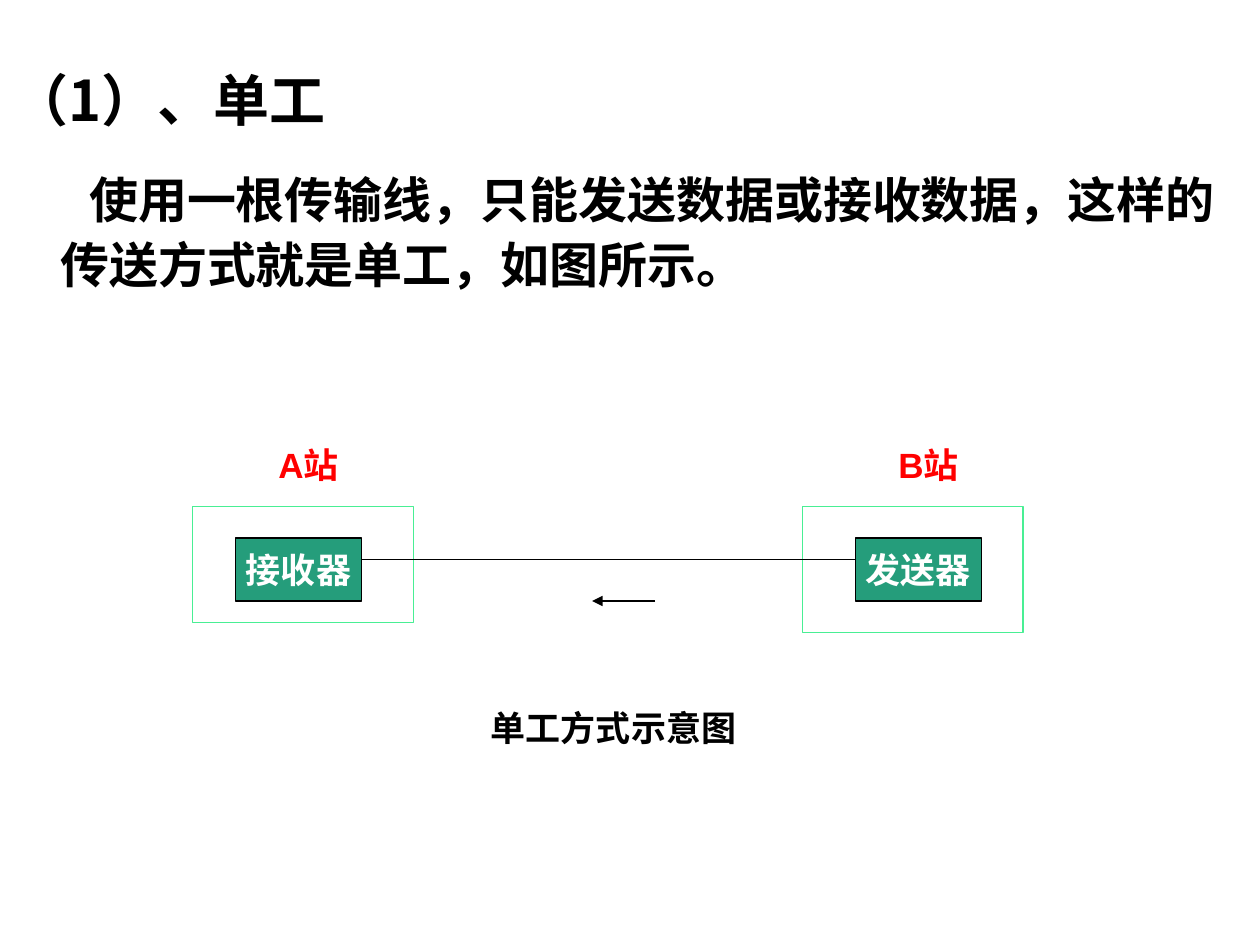
from lxml import etree
from pptx import Presentation
from pptx.dml.color import RGBColor
from pptx.enum.shapes import MSO_CONNECTOR, MSO_SHAPE
from pptx.enum.text import MSO_ANCHOR, PP_ALIGN
from pptx.oxml.ns import qn
from pptx.util import Inches, Pt

BLACK = RGBColor(0x00, 0x00, 0x00)
WHITE = RGBColor(0xFF, 0xFF, 0xFF)
RED = RGBColor(0xFF, 0x00, 0x00)
TEAL = RGBColor(0x25, 0x9D, 0x7B)
MINT = RGBColor(0x49, 0xEF, 0x94)
RECTANGLE = MSO_SHAPE.RECTANGLE
STRAIGHT = MSO_CONNECTOR.STRAIGHT
CENTER = PP_ALIGN.CENTER
MIDDLE = MSO_ANCHOR.MIDDLE
CJK_FONT = "Noto Sans CJK SC"
LATIN_FONT = "Arial"

HEADING = "（1）、单工"
BODY = "使用一根传输线，只能发送数据或接收数据，这样的传送方式就是单工，如图所示。"
CAPTION = "单工方式示意图"
INTRO = [
    (HEADING, 32, 0, -0.38),
    (BODY, 28, 17.5, 0.23),
]
STATIONS = [
    {"label": "A站", "device": "接收器", "label_left": 1.95,
     "device_left": 1.87, "frame_left": 1.53, "frame_height": 0.92},
    {"label": "B站", "device": "发送器", "label_left": 6.87,
     "device_left": 6.79, "frame_left": 6.37, "frame_height": 1},
]
DEVICE_WIDTH, DEVICE_HEIGHT, DEVICE_TOP = 1, 0.5, 4.27
WIRE_Y, ARROW_Y = 4.44, 4.77

deck = Presentation()
deck.slide_width, deck.slide_height = Inches(10), Inches(7.5)
page = deck.slides.add_slide(deck.slide_layouts[6])


def style_paragraph(para, size, color, font):
    for span in para.runs:
        span.font.size = Pt(size)
        span.font.bold = True
        span.font.name = font
        span.font.color.rgb = color
        east_asian = etree.SubElement(span.font._element, qn("a:ea"))
        east_asian.set("typeface", CJK_FONT)


def set_label(shape, text, color):
    frame = shape.text_frame
    frame.text = text
    frame.word_wrap = False
    frame.vertical_anchor = MIDDLE
    para = frame.paragraphs[0]
    para.alignment = CENTER
    style_paragraph(para, 20, color, LATIN_FONT)


def add_label(text, left, top, width, color):
    box = page.shapes.add_textbox(
        Inches(left), Inches(top), Inches(width), Inches(0.5))
    set_label(box, text, color)


def add_rectangle(left, top, width, height, line_color, fill_color=None):
    shape = page.shapes.add_shape(
        RECTANGLE, Inches(left), Inches(top), Inches(width), Inches(height))
    shape.shadow.inherit = False
    if fill_color is None:
        shape.fill.background()
    else:
        shape.fill.solid()
        shape.fill.fore_color.rgb = fill_color
    shape.line.color.rgb = line_color
    shape.line.width = Pt(0.75)
    return shape


def add_line(start, end, y, arrow=False):
    line = page.shapes.add_connector(
        STRAIGHT, Inches(start), Inches(y), Inches(end), Inches(y))
    line.line.color.rgb = BLACK
    line.line.width = Pt(0.75)
    properties = line._element.spPr
    etree.SubElement(properties, qn("a:effectLst"))
    if arrow:
        tail = etree.SubElement(properties.find(qn("a:ln")), qn("a:tailEnd"))
        tail.set("type", "triangle")


intro = page.shapes.add_textbox(
    Inches(0), Inches(0.42), Inches(10), Inches(2.17))
intro.text_frame.word_wrap = True
intro.text_frame.text = "\n".join(text for text, *_ in INTRO)
for para, (_, size, space, indent) in zip(intro.text_frame.paragraphs, INTRO):
    para.line_spacing = 1.1
    para.space_before = Pt(space)
    layout = para._p.get_or_add_pPr()
    layout.set("marL", str(Inches(0.38)))
    layout.set("indent", str(Inches(indent)))
    style_paragraph(para, size, BLACK, CJK_FONT)

for station in STATIONS:
    add_rectangle(station["frame_left"], 4.02, 1.75,
                  station["frame_height"], MINT)
    device = add_rectangle(station["device_left"], DEVICE_TOP, DEVICE_WIDTH,
                           DEVICE_HEIGHT, BLACK, TEAL)
    set_label(device, station["device"], WHITE)
    add_label(station["label"], station["label_left"], 3.44, 1, RED)

receiver, sender = STATIONS
add_line(receiver["device_left"] + DEVICE_WIDTH, sender["device_left"], WIRE_Y)
add_line(5.2, 4.7, ARROW_Y, arrow=True)
add_label(CAPTION, 2.91, 5.52, 3.92, BLACK)

deck.save("out.pptx")
